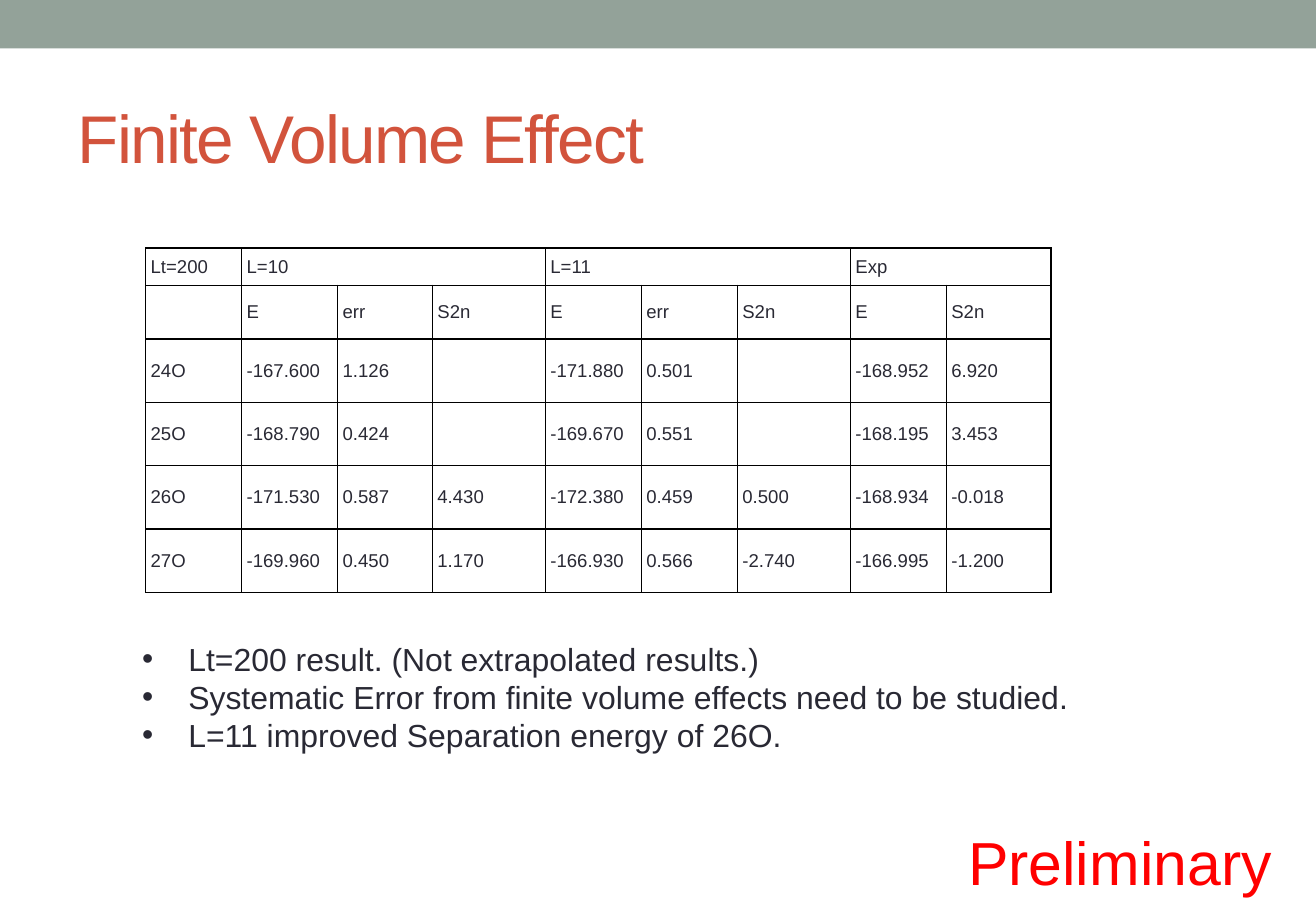
from dataclasses import dataclass

from lxml import etree
from pptx import Presentation
from pptx.dml.color import RGBColor
from pptx.enum.shapes import MSO_SHAPE
from pptx.enum.text import MSO_ANCHOR, MSO_AUTO_SIZE, PP_ALIGN
from pptx.oxml.ns import qn
from pptx.util import Pt

RECTANGLE = MSO_SHAPE.RECTANGLE
MIDDLE, TOP = MSO_ANCHOR.MIDDLE, MSO_ANCHOR.TOP
LEFT, CENTER = PP_ALIGN.LEFT, PP_ALIGN.CENTER
NO_AUTOFIT = MSO_AUTO_SIZE.NONE

PAGE_WIDTH, PAGE_HEIGHT = 780, 540
FONT = "Arial"
SAGE, BRICK, RED = "93A299", "D2533C", "FF0000"
INK, BLACK, WHITE = "292934", "000000", "FFFFFF"

COLUMN_WIDTHS = [56.9, 56.9, 56.2, 67, 56.9, 56.9, 67, 56.9, 61.9]
ROW_HEIGHTS = [22.3, 31.7] + [37.6] * 4
CELL_MARGIN = 2.9
HEADER_SPANS = [(1, 3), (4, 6), (7, 8)]
ENERGIES = [
    ["Lt=200", "L=10", "", "", "L=11", "", "", "Exp", ""],
    ["", "E", "err", "S2n", "E", "err", "S2n", "E", "S2n"],
    ["24O", "-167.600", "1.126", "", "-171.880", "0.501", "", "-168.952", "6.920"],
    ["25O", "-168.790", "0.424", "", "-169.670", "0.551", "", "-168.195", "3.453"],
    ["26O", "-171.530", "0.587", "4.430", "-172.380", "0.459", "0.500", "-168.934", "-0.018"],
    ["27O", "-169.960", "0.450", "1.170", "-166.930", "0.566", "-2.740", "-166.995", "-1.200"],
]
REMARKS = [
    "Lt=200 result. (Not extrapolated results.)",
    "Systematic Error from finite volume effects need to be studied.",
    "L=11 improved Separation energy of 26O.",
]
BULLET_INDENT = 27.4


@dataclass(frozen=True)
class Box:
    left: float
    top: float
    width: float
    height: float

    def lengths(self) -> tuple:
        return Pt(self.left), Pt(self.top), Pt(self.width), Pt(self.height)


@dataclass(frozen=True)
class TextStyle:
    size: float
    color: str
    align: PP_ALIGN = LEFT
    anchor: MSO_ANCHOR = TOP
    spacing: float = 0
    line_pitch: float = 0
    bullet: str = ""


TITLE_STYLE = TextStyle(40, BRICK, anchor=MIDDLE, spacing=-1)
STAMP_STYLE = TextStyle(36, RED, align=CENTER)
REMARK_STYLE = TextStyle(18.9, INK, line_pitch=22.5, bullet="•")
CELL_STYLE = TextStyle(11, INK)


def color(code: str) -> RGBColor:
    return RGBColor.from_string(code)


def paint(target, code: str) -> None:
    target.fill.solid()
    target.fill.fore_color.rgb = color(code)


def place(shape, box: Box) -> None:
    shape.left, shape.top, shape.width, shape.height = box.lengths()


def add_bullet(para, symbol: str) -> None:
    properties = para._p.get_or_add_pPr()
    properties.set("marL", str(Pt(BULLET_INDENT)))
    properties.set("indent", str(-Pt(BULLET_INDENT)))
    etree.SubElement(properties, qn("a:buFont"), typeface=FONT)
    etree.SubElement(properties, qn("a:buChar"), char=symbol)


def write_para(para, text: str, style: TextStyle) -> None:
    para.alignment = style.align
    para.space_before = para.space_after = Pt(0)
    if style.line_pitch:
        para.line_spacing = Pt(style.line_pitch)
    if style.bullet:
        add_bullet(para, style.bullet)
    span = para.add_run()
    span.text = text
    span.font.name = FONT
    span.font.size = Pt(style.size)
    span.font.color.rgb = color(style.color)
    if style.spacing:
        span._r.get_or_add_rPr().set("spc", str(round(style.spacing * 100)))


def write_lines(shape, lines: list[str], style: TextStyle) -> None:
    frame = shape.text_frame
    frame.word_wrap = True
    frame.auto_size = NO_AUTOFIT
    frame.vertical_anchor = style.anchor
    for index, line in enumerate(lines):
        para = frame.add_paragraph() if index else frame.paragraphs[0]
        write_para(para, line, style)


def add_borders(cell) -> None:
    properties = cell._tc.get_or_add_tcPr()
    for index, side in enumerate(("lnL", "lnR", "lnT", "lnB")):
        line = etree.Element(qn(f"a:{side}"), w=str(Pt(1)))
        fill = etree.SubElement(line, qn("a:solidFill"))
        etree.SubElement(fill, qn("a:srgbClr"), val=BLACK)
        properties.insert(index, line)


def format_cell(cell, text: str) -> None:
    paint(cell, WHITE)
    add_borders(cell)
    cell.vertical_anchor = MIDDLE
    cell.margin_left = cell.margin_right = Pt(CELL_MARGIN)
    cell.margin_top = cell.margin_bottom = Pt(CELL_MARGIN)
    if text:
        write_para(cell.text_frame.paragraphs[0], text, CELL_STYLE)


def add_energy_table(page, left: float, top: float) -> None:
    box = Box(left, top, sum(COLUMN_WIDTHS), sum(ROW_HEIGHTS))
    table = page.shapes.add_table(
        len(ROW_HEIGHTS), len(COLUMN_WIDTHS), *box.lengths()
    ).table
    table.first_row = table.horz_banding = False
    for column, width in zip(table.columns, COLUMN_WIDTHS):
        column.width = Pt(width)
    for row, height, texts in zip(table.rows, ROW_HEIGHTS, ENERGIES):
        row.height = Pt(height)
        for cell, text in zip(row.cells, texts):
            format_cell(cell, text)
    for first, last in HEADER_SPANS:
        table.cell(0, first).merge(table.cell(0, last))


def add_banner(page, box: Box) -> None:
    banner = page.shapes.add_shape(RECTANGLE, *box.lengths())
    banner.shadow.inherit = False
    paint(banner, SAGE)
    banner.line.fill.background()


def main() -> None:
    deck = Presentation()
    deck.slide_width, deck.slide_height = Pt(PAGE_WIDTH), Pt(PAGE_HEIGHT)
    page = deck.slides.add_slide(deck.slide_layouts.get_by_name("Title and Content"))
    paint(page.background, WHITE)

    add_banner(page, Box(0, 0, PAGE_WIDTH, 28.8))
    title, remarks = page.placeholders
    place(title, Box(38.9, 41.8, 702, 77.8))
    write_lines(title, ["Finite Volume Effect"], TITLE_STYLE)
    add_energy_table(page, 86.4, 146.9)
    place(remarks, Box(77, 375.8, 647.3, 75.6))
    write_lines(remarks, REMARKS, REMARK_STYLE)
    stamp = page.shapes.add_textbox(*Box(559.4, 485.3, 208.8, 51.1).lengths())
    write_lines(stamp, ["Preliminary"], STAMP_STYLE)

    deck.save("out.pptx")


if __name__ == "__main__":
    main()
